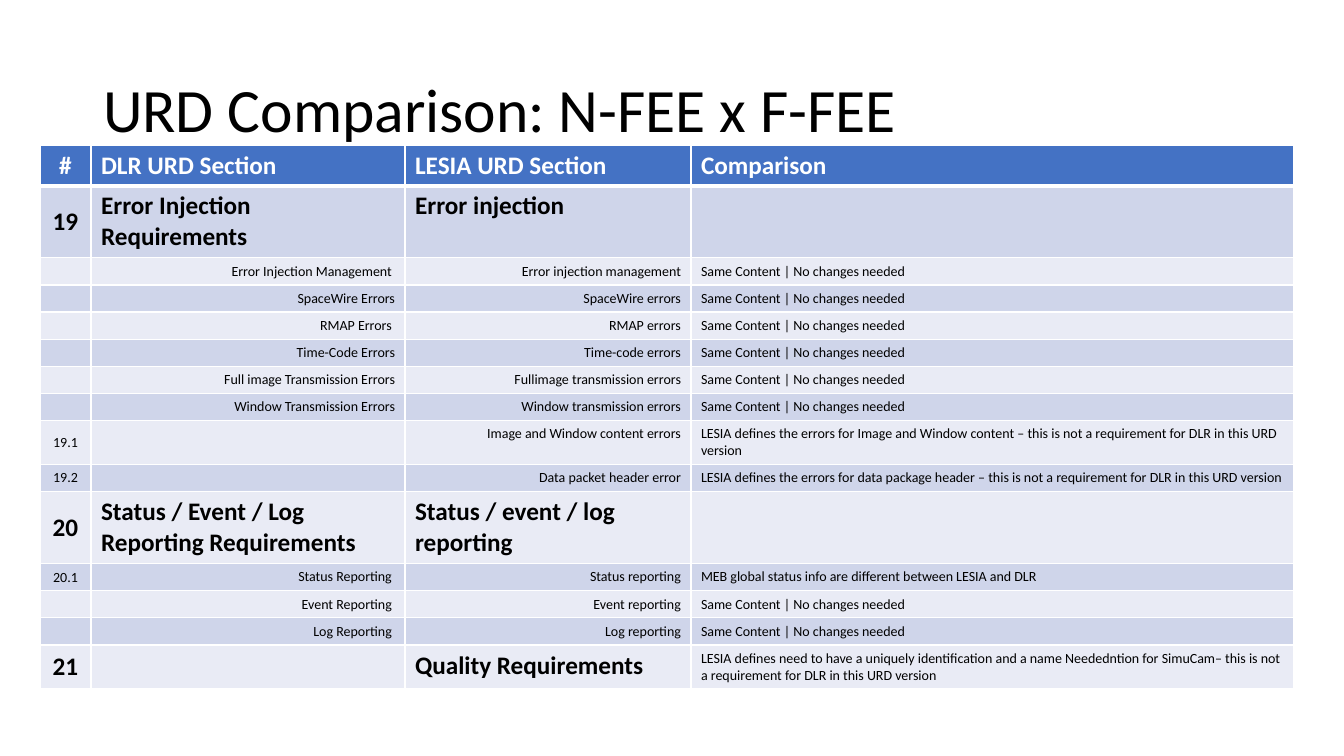
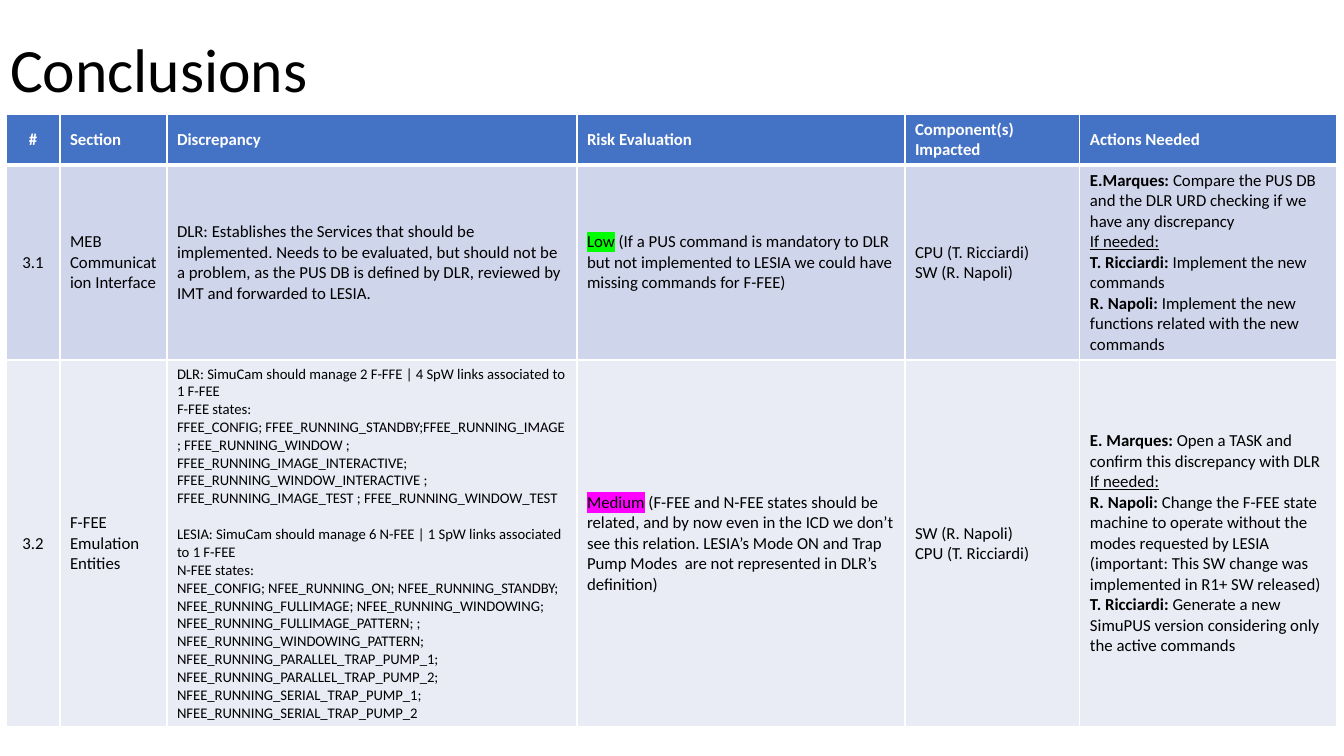
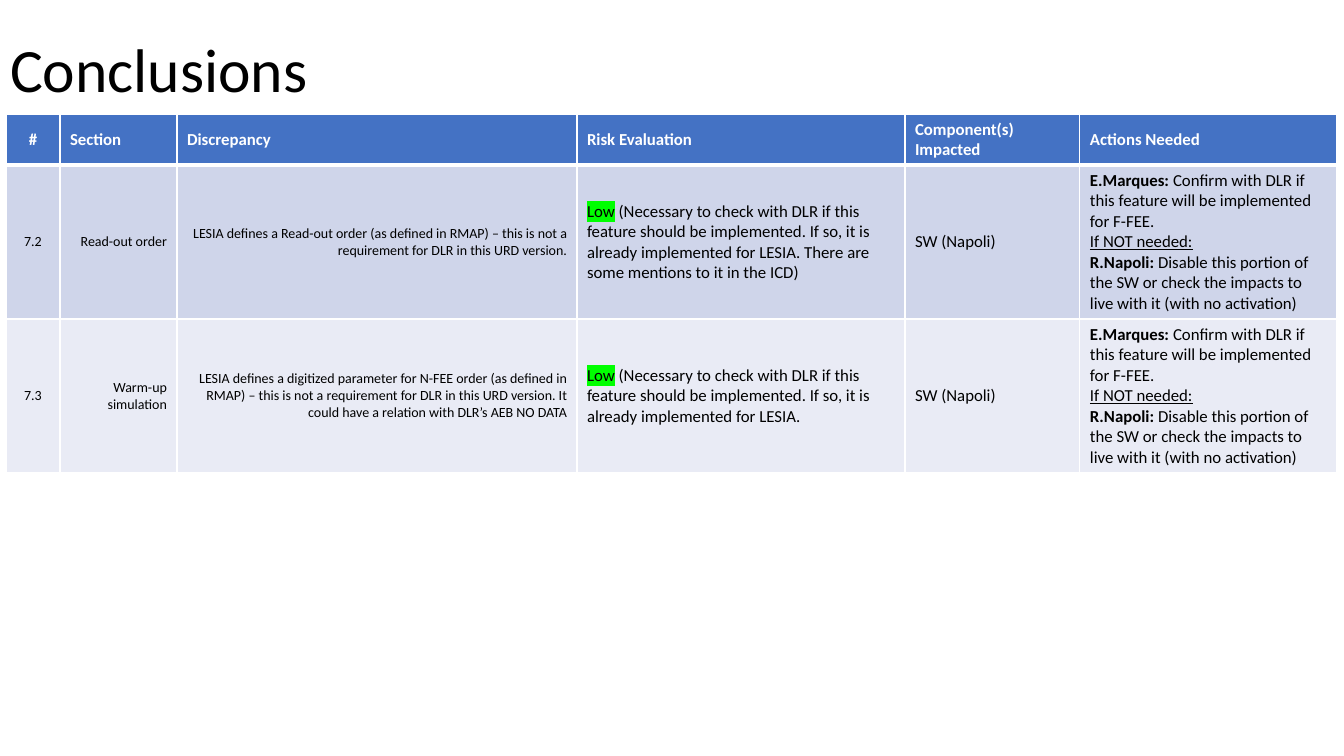
from dataclasses import dataclass, replace

from lxml import etree
from pptx import Presentation
from pptx.dml.color import RGBColor
from pptx.enum.text import MSO_ANCHOR, MSO_AUTO_SIZE, PP_ALIGN
from pptx.oxml.ns import qn
from pptx.util import Emu, Pt

LEFT, CENTER, RIGHT = PP_ALIGN.LEFT, PP_ALIGN.CENTER, PP_ALIGN.RIGHT
TOP, MIDDLE = MSO_ANCHOR.TOP, MSO_ANCHOR.MIDDLE
NO_AUTOFIT = MSO_AUTO_SIZE.NONE

EMU_PER_PX = 914400 / 100.8
PAGE_SIZE = (1344, 756)
TITLE_ONLY = 5
FONT = "Calibri"
COLORS = {
    "text": "000000",
    "white": "FFFFFF",
    "header": "4472C4",
    "band_dark": "CFD5EA",
    "band_light": "E9EBF5",
    "low": "00FF00",
    "medium": "FF00FF",
}
SPAN_FORMATS = {
    "plain": {},
    "bold": {"bold": True},
    "underline": {"underline": True},
    "low": {},
    "medium": {},
}


@dataclass(frozen=True)
class CellStyle:
    size: float = 12
    align: PP_ALIGN = LEFT
    anchor: MSO_ANCHOR = MIDDLE
    bold: bool = False
    color: str = "text"
    gap_at: int = -1


BODY = CellStyle()
BODY_CENTER = replace(BODY, align=CENTER)
STATES = replace(BODY, size=10.5, gap_at=3)
SMALL = CellStyle(size=10, anchor=TOP)
SMALL_RIGHT = replace(SMALL, align=RIGHT)
SMALL_NUMBER = replace(SMALL, align=CENTER, anchor=MIDDLE)
SMALL_NOTE = replace(SMALL_RIGHT, anchor=MIDDLE)
SECTION = CellStyle(size=18, anchor=TOP, bold=True)
SECTION_NUMBER = replace(SECTION, align=CENTER, anchor=MIDDLE)

SAME = "Same Content | No changes needed"
COMPARISON_HEADINGS = ["#", "DLR URD Section", "LESIA URD Section", "Comparison"]
COMPARISON_ROWS = [
    (72, ["19", "Error Injection Requirements", "Error injection", ""]),
    (27, ["", "Error Injection Management ", "Error injection management", SAME]),
    (27, ["", "SpaceWire Errors", "SpaceWire errors", SAME]),
    (27, ["", "RMAP Errors ", "RMAP errors", SAME]),
    (27, ["", "Time-Code Errors", "Time-code errors", SAME]),
    (27, ["", "Full image Transmission Errors", "Fullimage transmission errors", SAME]),
    (27, ["", "Window Transmission Errors", "Window transmission errors", SAME]),
    (44, ["19.1", "", "Image and Window content errors",
          "LESIA defines the errors for Image and Window content – this is not a "
          "requirement for DLR in this URD version"]),
    (27, ["19.2", "", "Data packet header error",
          "LESIA defines the errors for data package header – this is not a "
          "requirement for DLR in this URD version"]),
    (72, ["20", "Status / Event / Log Reporting Requirements",
          "Status / event / log reporting", ""]),
    (27, ["20.1", "Status Reporting ", "Status reporting",
          "MEB global status info are different between LESIA and DLR"]),
    (27, ["", "Event Reporting ", "Event reporting", SAME]),
    (27, ["", "Log Reporting ", "Log reporting", SAME]),
    (44, ["21", "", "Quality Requirements",
          "LESIA defines need to have a uniquely identification and a name Neededntion "
          "for SimuCam– this is not a requirement for DLR in this URD version"]),
]

CONCLUSION_HEADINGS = ["#", "Section", "Discrepancy", "Risk Evaluation",
                       "Component(s) Impacted", "Actions Needed"]


def task(owner, job):
    return [(f"{owner}: ", "bold"), (job, "plain")]


def condition(text):
    return [(text, "underline")]


def risk(level, reason):
    return [[(level, level.lower()), (f" ({reason}", "plain")]]


INTERFACE_ROWS = [
    (195, [BODY_CENTER] + [BODY] * 5, [
        "3.1",
        "MEB Communication Interface",
        "DLR: Establishes the Services that should be implemented. Needs to be evaluated, "
        "but should not be a problem, as the PUS DB is defined by DLR, reviewed by IMT and "
        "forwarded to LESIA.",
        risk("Low", "If a PUS command is mandatory to DLR but not implemented to LESIA we "
                    "could have missing commands for F-FEE)"),
        "CPU (T. Ricciardi)\nSW (R. Napoli)",
        [task("E.Marques", "Compare the PUS DB and the DLR URD checking if we have any "
                           "discrepancy"),
         condition("If needed:"),
         task("T. Ricciardi", "Implement the new commands"),
         task("R. Napoli", "Implement the new functions related with the new commands")],
    ]),
    (366, [BODY_CENTER, BODY, STATES] + [BODY] * 3, [
        "3.2",
        "F-FEE Emulation\nEntities",
        "DLR: SimuCam should manage 2 F-FFE | 4 SpW links associated to 1 F-FEE\n"
        "F-FEE states:\n"
        "FFEE_CONFIG; FFEE_RUNNING_STANDBY;FFEE_RUNNING_IMAGE ; FFEE_RUNNING_WINDOW ; "
        "FFEE_RUNNING_IMAGE_INTERACTIVE; FFEE_RUNNING_WINDOW_INTERACTIVE ; "
        "FFEE_RUNNING_IMAGE_TEST ; FFEE_RUNNING_WINDOW_TEST\n"
        "LESIA: SimuCam should manage 6 N-FEE | 1 SpW links associated to 1 F-FEE\n"
        "N-FEE states:\n"
        "NFEE_CONFIG; NFEE_RUNNING_ON; NFEE_RUNNING_STANDBY; NFEE_RUNNING_FULLIMAGE; "
        "NFEE_RUNNING_WINDOWING; NFEE_RUNNING_FULLIMAGE_PATTERN; ; "
        "NFEE_RUNNING_WINDOWING_PATTERN;  NFEE_RUNNING_PARALLEL_TRAP_PUMP_1; "
        "NFEE_RUNNING_PARALLEL_TRAP_PUMP_2; NFEE_RUNNING_SERIAL_TRAP_PUMP_1; "
        "NFEE_RUNNING_SERIAL_TRAP_PUMP_2",
        risk("Medium", "F-FEE and N-FEE states should be related, and by now even in the ICD "
                       "we don’t see this relation. LESIA’s Mode ON and Trap Pump Modes  are "
                       "not represented in DLR’s definition)"),
        "SW (R. Napoli)\nCPU (T. Ricciardi)",
        [task("E. Marques", "Open a TASK and confirm this discrepancy with DLR"),
         condition("If needed:"),
         task("R. Napoli", "Change the F-FEE state machine to operate without the modes "
                           "requested by LESIA (important: This SW change was implemented "
                           "in R1+ SW released)"),
         task("T. Ricciardi", "Generate a new SimuPUS version considering only the active "
                              "commands")],
    ]),
]

FEATURE_STYLES = [SMALL_NUMBER, SMALL_NOTE, SMALL_NOTE] + [BODY] * 3
FEATURE_CHECK = ("Necessary to check with DLR if this feature should be implemented. "
                 "If so, it is already implemented for LESIA.")
FEATURE_ACTIONS = [
    task("E.Marques", "Confirm with DLR if this feature will be implemented for F-FEE."),
    condition("If NOT needed:"),
    task("R.Napoli", "Disable this portion of the SW or check the impacts to live with it "
                     "(with no activation)"),
]
FEATURE_ROWS = [
    (154, FEATURE_STYLES, [
        "7.2",
        "Read-out order",
        "LESIA defines a Read-out order (as defined in RMAP) – this is not a requirement "
        "for DLR in this URD version.",
        risk("Low", FEATURE_CHECK + " There are some mentions to it in the ICD)"),
        "SW (Napoli)",
        FEATURE_ACTIONS,
    ]),
    (154, FEATURE_STYLES, [
        "7.3",
        "Warm-up simulation",
        "LESIA defines a digitized parameter for N-FEE order (as defined in RMAP) – this is "
        "not a requirement for DLR in this URD version. It could have a relation with DLR’s "
        "AEB NO DATA",
        risk("Low", FEATURE_CHECK),
        "SW (Napoli)",
        FEATURE_ACTIONS,
    ]),
]


def px(length):
    return Emu(round(length * EMU_PER_PX))


def rgb(name):
    return RGBColor.from_string(COLORS[name])


def set_values(target, values):
    for name, value in values.items():
        setattr(target, name, value)


def add_span(paragraph, text, kind, size, color, bold=False):
    span = paragraph.add_run()
    span.text = text
    values = {"size": Pt(size), "name": FONT, "bold": bold}
    set_values(span.font, values | SPAN_FORMATS[kind])
    span.font.color.rgb = rgb(color)
    if kind in COLORS:
        properties = span.font._element
        highlight = etree.Element(qn("a:highlight"))
        etree.SubElement(highlight, qn("a:srgbClr"), val=COLORS[kind])
        properties.find(qn("a:latin")).addprevious(highlight)


def add_title_page(deck, title, box):
    page = deck.slides.add_slide(deck.slide_layouts[TITLE_ONLY])
    shape = page.shapes.title
    set_values(shape, dict(zip(("left", "top", "width", "height"), map(px, box))))
    set_values(shape.text_frame, {"vertical_anchor": MIDDLE, "word_wrap": True,
                                  "auto_size": NO_AUTOFIT})
    paragraph = shape.text_frame.paragraphs[0]
    set_values(paragraph, {"alignment": LEFT, "line_spacing": 0.9})
    add_span(paragraph, title, "plain", 44, "text")
    return page


def set_borders(cell, top, bottom):
    properties = cell._tc.get_or_add_tcPr()
    widths = {"lnL": 1, "lnR": 1, "lnT": top, "lnB": bottom}
    for position, (side, width) in enumerate(widths.items()):
        line = etree.Element(qn(f"a:{side}"), w=str(Pt(width)))
        fill = etree.SubElement(line, qn("a:solidFill"))
        etree.SubElement(fill, qn("a:srgbClr"), val=COLORS["white"])
        properties.insert(position, line)


def write_cell(cell, content, style):
    cell.vertical_anchor = style.anchor
    if isinstance(content, str):
        content = [[(line, "plain")] if line else [] for line in content.split("\n")]
    frame = cell.text_frame
    for index, spans in enumerate(content):
        paragraph = frame.add_paragraph() if index else frame.paragraphs[0]
        paragraph.alignment = style.align
        if index == style.gap_at:
            paragraph.space_before = Pt(13)
        for text, kind in spans:
            add_span(paragraph, text, kind, style.size, style.color, style.bold)
        if not spans:
            etree.SubElement(paragraph._p, qn("a:endParaRPr"), sz=str(style.size * 100))


def add_grid(page, left, top, widths, rows):
    heights = [height for height, _, _ in rows]
    table = page.shapes.add_table(len(rows), len(widths), px(left), px(top),
                                  px(sum(widths)), px(sum(heights))).table
    for column, width in zip(table.columns, widths):
        column.width = px(width)
    for index, (height, styles, contents) in enumerate(rows):
        table.rows[index].height = px(height)
        band = "band_dark" if index % 2 else "band_light"
        for cell, style, content in zip(table.rows[index].cells, styles, contents):
            write_cell(cell, content, style)
            cell.fill.solid()
            cell.fill.fore_color.rgb = rgb(band if index else "header")
            set_borders(cell, 3 if index == 1 else 1, 1 if index else 3)


def header_row(height, headings, style):
    heading = replace(style, bold=True, color="white")
    styles = [replace(heading, align=CENTER, anchor=MIDDLE)] + [heading] * (len(headings) - 1)
    return height, styles, headings


def comparison_row(height, contents):
    number = contents[0]
    if number and "." not in number:
        styles = [SECTION_NUMBER, SECTION, SECTION, SMALL]
    else:
        styles = [SMALL_NUMBER, SMALL_RIGHT, SMALL_RIGHT, SMALL]
    return height, styles, contents


def add_comparison_page(deck):
    page = add_title_page(deck, "URD Comparison: N-FEE x F-FEE", (93, 40, 1159, 146))
    rows = [header_row(40, COMPARISON_HEADINGS, SECTION)]
    rows += [comparison_row(*row) for row in COMPARISON_ROWS]
    add_grid(page, 40, 145, [51, 314, 286, 603], rows)


def add_conclusions_page(deck, section_width, rows):
    page = add_title_page(deck, "Conclusions", (0, 0, 332, 146))
    widths = [54, section_width, 517 - section_width, 328, 175, 257]
    add_grid(page, 6, 114, widths, [header_row(50, CONCLUSION_HEADINGS, BODY)] + rows)


def main():
    deck = Presentation()
    deck.slide_width, deck.slide_height = map(px, PAGE_SIZE)
    add_comparison_page(deck)
    add_conclusions_page(deck, 107, INTERFACE_ROWS)
    add_conclusions_page(deck, 117, FEATURE_ROWS)
    deck.save("out.pptx")


if __name__ == "__main__":
    main()
